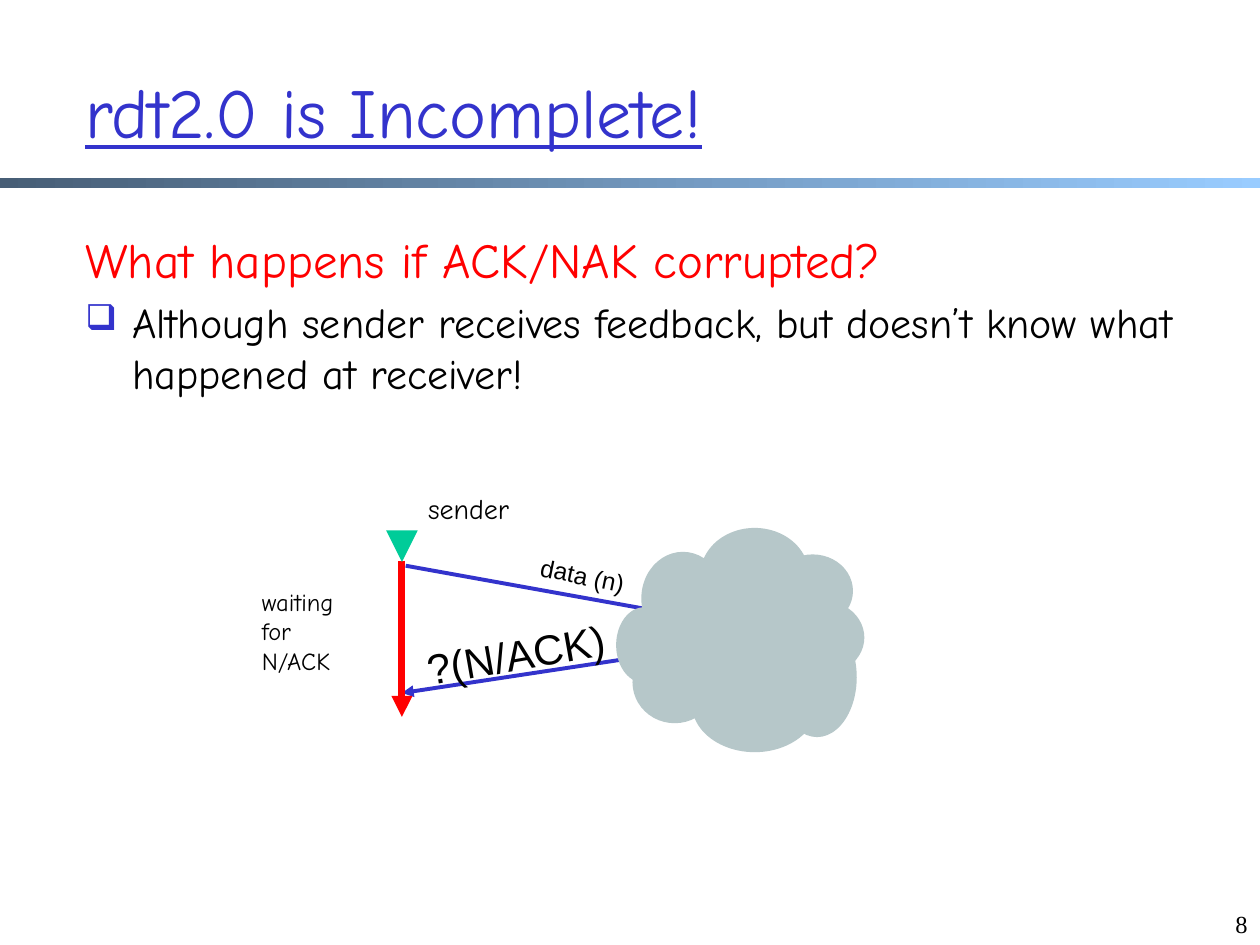
from lxml.etree import SubElement
from pptx import Presentation
from pptx.dml.color import RGBColor as RGB
from pptx.enum.shapes import MSO_CONNECTOR as CONN, MSO_SHAPE as SHAPE
from pptx.enum.text import MSO_ANCHOR as ANCHOR, PP_ALIGN as ALIGN
from pptx.oxml.ns import qn
from pptx.util import Inches, Pt

C = {"blue": "3333CC", "red": "FF0000", "black": "000000", "green": "00CC99",
     "cloud": "B6C7C9", "bar_dark": "475E76", "bar_light": "99CCFF"}
COMIC, ARIAL, TIMES = "Comic Neue", "Arial", "Times New Roman"

prs = Presentation()
prs.slide_width, prs.slide_height = Inches(10), Inches(7.5)
COL, ROW = prs.slide_width / 100, prs.slide_height / 75
s = prs.slides.add_slide(prs.slide_layouts[6])


def grid(x, y, w, h):
    return int(x * COL), int(y * ROW), int(w * COL), int(h * ROW)


def add_text(shapes, at, paras, font, anchor=ANCHOR.TOP, wrap=True):
    sp = shapes.add_textbox(*grid(*at))
    tf = sp.text_frame
    tf.word_wrap, tf.vertical_anchor = wrap, anchor
    for i, (text, size, color) in enumerate(paras):
        p = tf.add_paragraph() if i else tf.paragraphs[0]
        for j, part in enumerate(text.split("\n")):
            if j:
                p.add_line_break()
            r = p.add_run()
            r.text = part
            r.font.size, r.font.name = Pt(size), font
            r.font.color.rgb = RGB.from_string(C[color])
    return sp


bar = s.shapes.add_shape(SHAPE.RECTANGLE, *grid(0, 14.1, 100, 0.8))
bar.shadow.inherit = False
bar.line.fill.background()
bar.fill.gradient()
bar.fill.gradient_angle = 0
for stop, color in zip(bar.fill.gradient_stops, ("bar_dark", "bar_light")):
    stop.color.rgb = RGB.from_string(C[color])

number = add_text(s.shapes, (76.7, 70, 23.3, 5), [("8", 14, "black")], TIMES, ANCHOR.BOTTOM)
number.text_frame.paragraphs[0].alignment = ALIGN.RIGHT

title = add_text(s.shapes, (5.8, 2.5, 85, 12.5), [("rdt2.0 is Incomplete!", 40, "blue")],
                 COMIC, ANCHOR.MIDDLE)
title.text_frame.paragraphs[0].runs[0].font.underline = True

body = add_text(s.shapes, (5.8, 17.7, 89.5, 52.3), [
    ("What happens if ACK/NAK corrupted?", 28, "red"),
    ("Although sender receives feedback, but doesn’t know what happened at receiver!",
     24, "black")], COMIC)
p = body.text_frame.paragraphs[1]
pPr = p._p.get_or_add_pPr()
pPr.set("marL", str(Inches(0.37)))
pPr.set("indent", str(-Inches(0.37)))
SubElement(SubElement(pPr, qn("a:buClr")), qn("a:srgbClr"), val=C["blue"])
SubElement(pPr, qn("a:buSzPct"), val="85000")
SubElement(pPr, qn("a:buChar"), char="❑")
p.space_before = Pt(5)

diagram = s.shapes.add_group_shape().shapes

for x1, y1, x2, y2, color, width in [
        (32.2, 44.9, 61.1, 50.1, "blue", 2.25),
        (60.9, 50.6, 31.9, 55, "blue", 2.25),
        (31.9, 44.5, 31.9, 56.9, "red", 4),
        (31.9, 42.2, 31.9, 44.6, "green", 6)]:
    ln = diagram.add_connector(CONN.STRAIGHT, *grid(x1, y1, x2, y2))
    ln.line.width = Pt(width)
    ln.line.color.rgb = RGB.from_string(C[color])
    SubElement(ln.line._get_or_add_ln(), qn("a:tailEnd"), type="triangle")
    SubElement(ln._element.spPr, qn("a:effectLst"))

for text, at, size, font, angle, wrap in [
        ("sender", (33, 38.5, 9.1, 3.7), 16, COMIC, 0, False),
        ("data (n)", (41.9, 44, 8.7, 3.3), 14, ARIAL, 11.8, True),
        ("waiting\nfor N/ACK", (19.8, 46.1, 10.2, 8), 14, COMIC, 0, True),
        ("?(N/ACK)", (32.8, 49.1, 19.7, 5), 24, ARIAL, 350, True)]:
    sp = add_text(diagram, at, [(text, size, "black")], font, wrap=wrap)
    sp.rotation = angle

for at in [(55.6, 41.9, 8.6, 7.4), (50.9, 43.8, 6.6, 7.4), (48.9, 48.2, 4.4, 6),
           (50.2, 50.9, 6.7, 6.5), (54.9, 52, 10, 7.7), (61.3, 44, 6.4, 5.8),
           (62.2, 47.7, 6.4, 5.8), (61.7, 49, 6.3, 9.5), (52.4, 46.1, 12.8, 9.5)]:
    puff = diagram.add_shape(SHAPE.OVAL, *grid(*at))
    puff.shadow.inherit = False
    puff.fill.solid()
    puff.fill.fore_color.rgb = RGB.from_string(C["cloud"])
    puff.line.fill.background()

prs.save("out.pptx")
